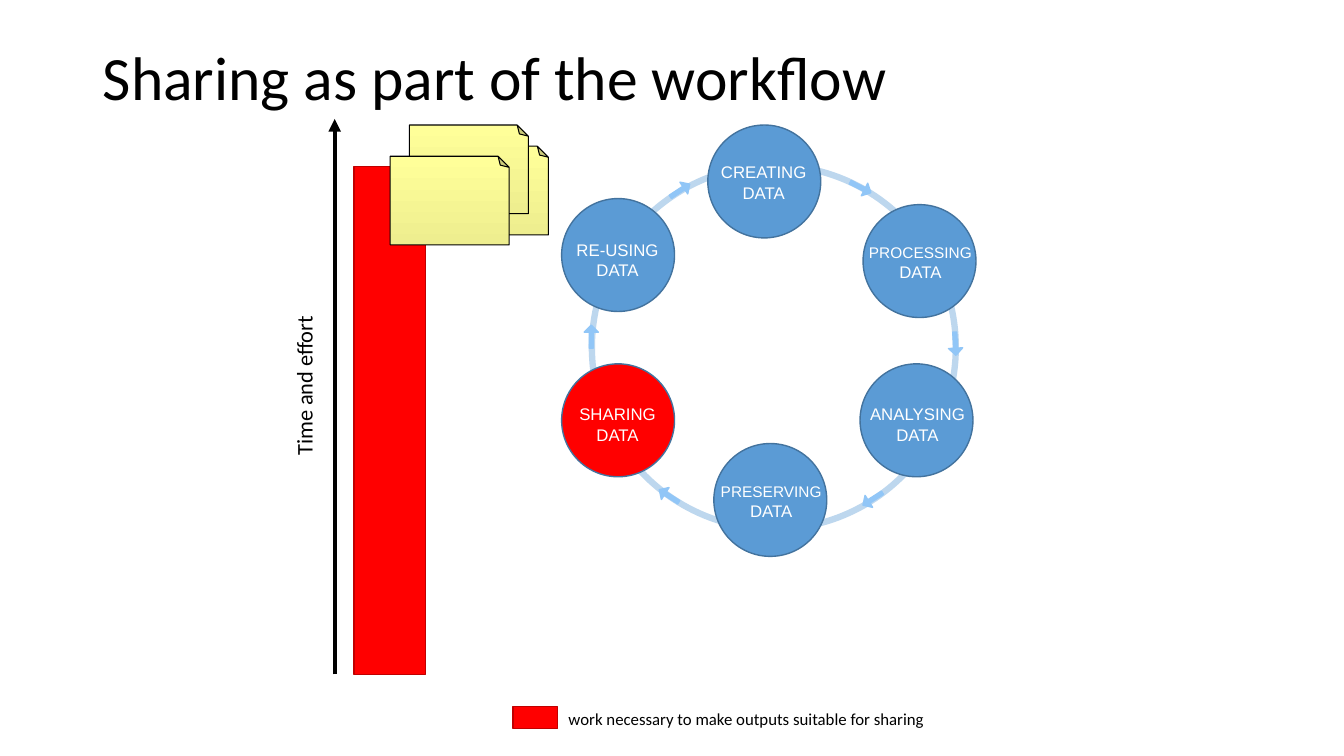
from pptx import Presentation
from pptx.dml.color import RGBColor
from pptx.enum.shapes import MSO_CONNECTOR, MSO_SHAPE
from pptx.enum.text import MSO_ANCHOR, MSO_AUTO_SIZE, PP_ALIGN
from pptx.oxml.ns import qn
from pptx.util import Inches, Pt
from lxml import etree

BLACK = RGBColor(0x00, 0x00, 0x00)
WHITE = RGBColor(0xFF, 0xFF, 0xFF)
RED = RGBColor(0xFF, 0x00, 0x00)
DARK_RED = RGBColor(0xC0, 0x00, 0x00)
BLUE = RGBColor(0x5B, 0x9B, 0xD5)
DARK_BLUE = RGBColor(0x43, 0x73, 0x9E)
PALE_BLUE = RGBColor(0xBD, 0xD7, 0xEE)
ARROW_BLUE = RGBColor(0x91, 0xC6, 0xF7)
OLIVE = RGBColor(0xEE, 0xEE, 0x8F)
YELLOW = RGBColor(0xFF, 0xFF, 0x99)

OVAL, RECTANGLE = MSO_SHAPE.OVAL, MSO_SHAPE.RECTANGLE
ARROW, NOTE = MSO_SHAPE.RIGHT_ARROW, MSO_SHAPE.FOLDED_CORNER
CENTER, LEFT = PP_ALIGN.CENTER, PP_ALIGN.LEFT
MIDDLE, GROW = MSO_ANCHOR.MIDDLE, MSO_AUTO_SIZE.SHAPE_TO_FIT_TEXT

CELL = Inches(0.1)


def draw(parent, kind, area, fill, line, width):
    shape = parent.shapes.add_shape(kind, *[int(n * CELL) for n in area])
    shape.shadow.inherit = False
    if fill is None:
        shape.fill.background()
    else:
        shape.fill.solid()
        shape.fill.fore_color.rgb = fill
    shape.line.color.rgb = line
    shape.line.width = Pt(width)
    return shape


def write(parent, area, paragraphs, wrap, align, look):
    box = parent.shapes.add_textbox(*[int(n * CELL) for n in area])
    frame = box.text_frame
    frame.word_wrap = wrap
    frame.auto_size = GROW
    for index, spans in enumerate(paragraphs):
        para = frame.add_paragraph() if index else frame.paragraphs[0]
        para.alignment = align
        for text, size in spans:
            span = para.add_run()
            span.text = text
            span.font.size = Pt(size)
            span.font.name = look["name"]
            span.font.color.rgb = look["color"]
    return box


deck = Presentation()
deck.slide_width, deck.slide_height = Inches(13.33), Inches(7.5)
page = deck.slides.add_slide(deck.slide_layouts[5])

title = page.shapes.title
place = {"left": 9.2, "top": 4, "width": 115, "height": 7.9}
for side, cells in place.items():
    setattr(title, side, int(cells * CELL))
title.text_frame.text = "Sharing as part of the workflow"
title.text_frame.vertical_anchor = MIDDLE
title.text_frame.auto_size = MSO_AUTO_SIZE.NONE
heading = title.text_frame.paragraphs[0]
heading.alignment = LEFT
heading.line_spacing = 0.9
for key, value in {"name": "Calibri", "size": Pt(44)}.items():
    setattr(heading.runs[0].font, key, value)
heading.runs[0].font.color.rgb = BLACK

cycle = page.shapes.add_group_shape()
draw(cycle, OVAL, (58.7, 16.4, 36.1, 36.1), None, PALE_BLUE, 4.5)

STAGE = 11.2
stage_look = {"name": "Arial", "color": WHITE}
stages = [
    (70.2, 12.4, BLUE, (70.5, 15.6, 10.5, 5), [[("CREATING DATA", 12)]]),
    (85.6, 20.3, BLUE, (84.6, 23.5, 13.4, 5), [[("PROCESSING", 11), (" DATA", 12)]]),
    (85.3, 36.1, BLUE, (84.6, 39.3, 12.8, 5.4),
     [[("ANALYSING", 12), (" ", 14), ("DATA", 12)]]),
    (70.8, 44, BLUE, (69.6, 47.2, 13.8, 5), [[("PRESERVING", 11), (" DATA", 12)]]),
    (55.7, 36.1, RED, (56, 39.6, 10.5, 5), [[("SHARING", 12)], [("DATA", 12)]]),
    (55.7, 19.7, BLUE, (56, 23.3, 10.5, 5), [[("RE-USING DATA", 12)]]),
]
for left, top, fill, label_area, label in stages:
    draw(cycle, OVAL, (left, top, STAGE, STAGE), fill, DARK_BLUE, 1)
    write(cycle, label_area, label, True, CENTER, stage_look)

arrows = [(84.2, 17.9, 27), (93.6, 33.4, 86.9), (85.4, 48.8, 147.5),
          (65.2, 48.5, 212.9), (57.5, 32.7, 270), (66.3, 18.2, 326.5)]
for left, top, angle in arrows:
    arrow = draw(cycle, ARROW, (left, top, 2.3, 1.4), ARROW_BLUE, ARROW_BLUE, 1)
    arrow.adjustments[0] = 0.28
    arrow.rotation = angle

axis = page.shapes.add_connector(
    MSO_CONNECTOR.STRAIGHT, *[int(n * CELL) for n in (33.2, 66.9, 33.2, 11.8)])
axis.line.color.rgb = BLACK
axis.line.width = Pt(3)
axis_line = axis._element.spPr.find(qn("a:ln"))
etree.SubElement(axis_line, qn("a:tailEnd"), type="triangle")
etree.SubElement(axis._element.spPr, qn("a:effectLst"))

caption_look = {"name": "Calibri", "color": BLACK}
axis_label = write(page, (22.1, 36.3, 16.1, 3.7), [[("Time and effort", 16)]],
                   False, LEFT, caption_look)
axis_label.rotation = 270

draw(page, RECTANGLE, (35.1, 16.5, 7.1, 50.4), RED, DARK_RED, 1)

notes = page.shapes.add_group_shape()
for left, top in [(44.1, 13), (42.1, 10.9), (40.2, 14)]:
    note = draw(notes, NOTE, (left, top, 8.8, 11.8), YELLOW, BLACK, 0.75)
    note.rotation = 270
    fold = note._element.spPr.find(qn("a:prstGeom")).find(qn("a:avLst"))
    etree.SubElement(fold, qn("a:gd"), name="adj", fmla="val 12500")
    note.fill.gradient()
    note.fill.gradient_angle = 0
    for stop, color in zip(note.fill.gradient_stops, (OLIVE, YELLOW)):
        stop.color.rgb = color

draw(page, RECTANGLE, (50.9, 70.1, 4.4, 2.2), RED, DARK_RED, 1)
write(page, (55.4, 69.8, 37.7, 3),
      [[("work necessary to make outputs suitable for sharing", 12)]],
      False, LEFT, caption_look)

deck.save("out.pptx")
